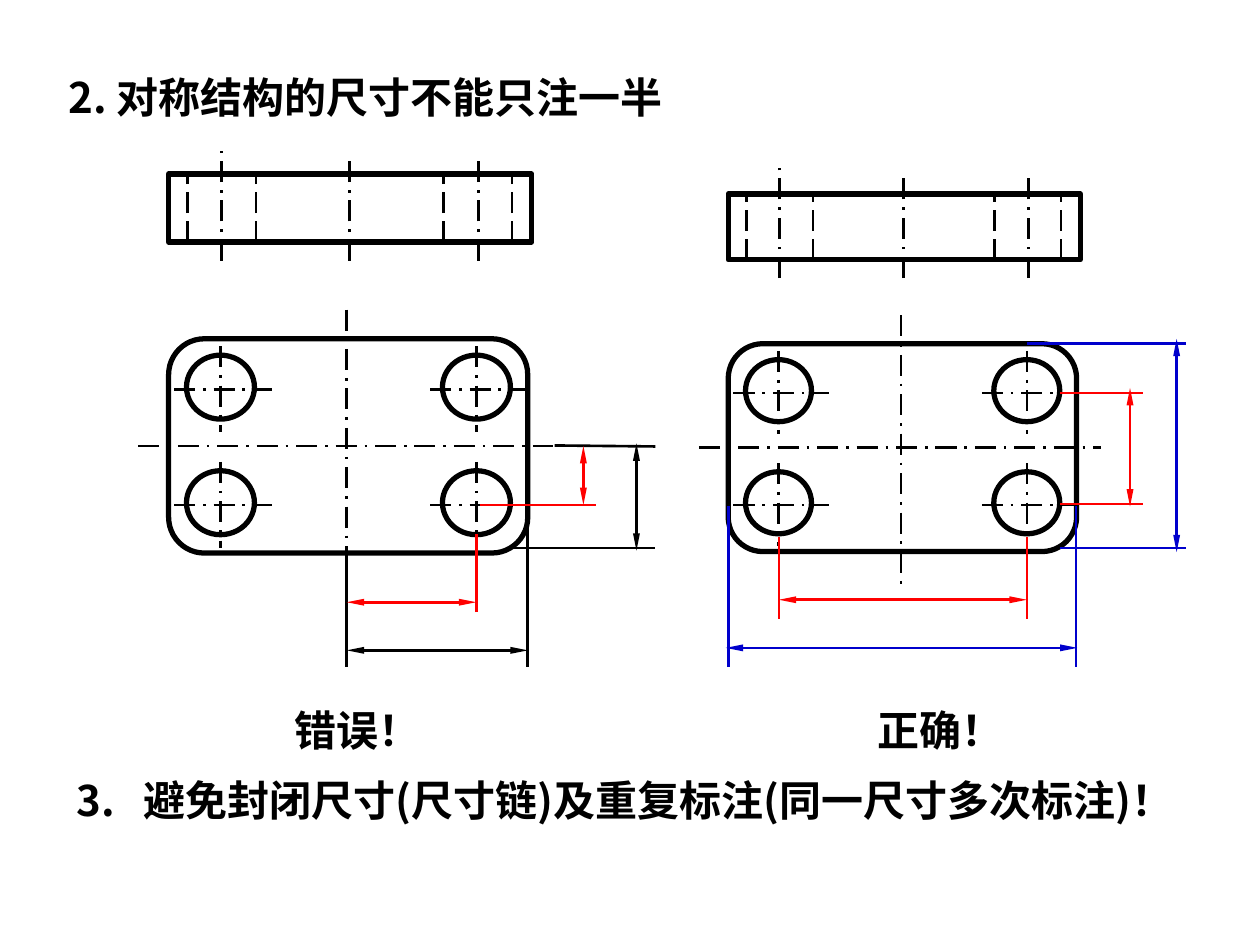
from itertools import product

from lxml.etree import SubElement
from pptx import Presentation
from pptx.dml.color import RGBColor
from pptx.enum.dml import MSO_LINE_DASH_STYLE as Dash
from pptx.enum.shapes import MSO_CONNECTOR_TYPE as Link, MSO_SHAPE as Geo
from pptx.enum.text import MSO_ANCHOR as Anchor, MSO_AUTO_SIZE as Fit, PP_ALIGN as Align
from pptx.oxml.ns import qn
from pptx.util import Cm, Pt

BLACK, RED, BLUE = "000000", "FF0000", "0000CC"


def color(value):
    return RGBColor.from_string(value)


class Drawing:
    font = {"name": "Noto Sans CJK SC", "size": Pt(24), "bold": True}

    def __init__(self, slide):
        self.slide = slide
        self.group = None

    def start_group(self):
        self.group = self.slide.shapes.add_group_shape()

    def text(self, wording, left, top, width, tab=None, **frame_format):
        box = self.slide.shapes.add_textbox(Cm(left), Cm(top), Cm(width), Cm(1.27))
        frame = box.text_frame
        frame_values = {"word_wrap": True, "auto_size": Fit.SHAPE_TO_FIT_TEXT}
        frame_values.update(frame_format)
        for name, value in frame_values.items():
            setattr(frame, name, value)
        paragraph = frame.paragraphs[0]
        paragraph.line_spacing = 0.85
        if not frame.word_wrap:
            paragraph.alignment = Align.CENTER
        if tab:
            stops = SubElement(paragraph._p.get_or_add_pPr(), qn("a:tabLst"))
            SubElement(stops, qn("a:tab"), pos=str(Cm(tab)), algn="l")
        run = paragraph.add_run()
        run.text = wording
        for name, value in self.font.items():
            setattr(run.font, name, value)
        run.font.color.rgb = color(BLACK)
        SubElement(run.font._element, qn("a:ea"), typeface=self.font["name"])

    def outline(self, geometry, left, top, width, height):
        shape = self.group.shapes.add_shape(
            geometry, Cm(left), Cm(top), Cm(width), Cm(height))
        shape.shadow.inherit = False
        shape.fill.background()
        shape.line.color.rgb = color(BLACK)
        shape.line.width = Pt(3)
        return shape

    def line(self, x1, y1, x2, y2, ink=BLACK, dash=None):
        link = self.group.shapes.add_connector(
            Link.STRAIGHT, Cm(x1), Cm(y1), Cm(x2), Cm(y2))
        link.line.color.rgb = color(ink)
        for name, value in {"width": Pt(1.5), "dash_style": dash}.items():
            setattr(link.line, name, value)
        SubElement(link._element.spPr, qn("a:effectLst"))
        return link

    def dimension(self, x1, y1, x2, y2, ink=BLACK):
        stroke = self.line(x1, y1, x2, y2, ink).line._get_or_add_ln()
        for end in ("a:headEnd", "a:tailEnd"):
            SubElement(stroke, qn(end), type="triangle", w="sm", len="lg")

    def side_view(self, left, top, scale):
        self.outline(Geo.RECTANGLE, left, top, 7.32 * scale, 1.37 * scale)
        for x in (0.38, 1.76, 5.54, 6.92):
            x = left + x * scale
            self.line(x, top + 1.37 * scale, x, top, dash=Dash.LONG_DASH)
        for x, rise in ((1.07, 0.61), (3.64, 0.36), (6.24, 0.41)):
            x = left + x * scale
            self.line(x, top + 1.75 * scale, x, top - rise * scale,
                      dash=Dash.LONG_DASH_DOT)

    def plate(self, left, top, scale):
        body = self.outline(Geo.ROUNDED_RECTANGLE, left, top, 7.24 * scale, 4.32 * scale)
        body.adjustments[0] = 0.167
        axes = [(-0.61, 2.16, 7.75, 2.16), (3.59, -0.59, 3.59, 5.02)]
        for x, y in product((0.36, 5.52), (0.33, 2.66)):
            self.outline(Geo.OVAL, left + x * scale, top + y * scale,
                         1.37 * scale, 1.29 * scale)
            axes += [(x - 0.25, y + 0.69, x + 1.73, y + 0.69),
                     (x + 0.69, y - 0.18, x + 0.69, y + 1.55)]
        for x1, y1, x2, y2 in axes:
            self.line(left + x1 * scale, top + y1 * scale,
                      left + x2 * scale, top + y2 * scale, dash=Dash.LONG_DASH_DOT)


def main():
    deck = Presentation()
    deck.slide_width, deck.slide_height = Cm(25.4), Cm(19.05)
    drawing = Drawing(deck.slides.add_slide(deck.slide_layouts[6]))

    drawing.text("2. 对称结构的尺寸不能只注一半", 1.14, 1.47, 16.56)

    drawing.start_group()
    drawing.plate(3.4, 6.83, 1)
    drawing.side_view(3.4, 3.51, 1)
    for extension in (
        (6.99, 13.44, 6.99, 11.1),
        (10.64, 10.49, 10.64, 13.44),
        (10.29, 11.05, 13.21, 11.05),
        (11.18, 8.98, 13.21, 9),
        (9.6, 12.34, 9.6, 10.77, RED),
        (9.68, 10.18, 12.01, 10.18, RED),
    ):
        drawing.line(*extension)
    for half_size in (
        (6.99, 12.14, 9.6, 12.14, RED),
        (11.76, 8.99, 11.76, 10.18, RED),
        (6.99, 13.11, 10.64, 13.11),
        (12.83, 8.94, 12.83, 11.1),
    ):
        drawing.dimension(*half_size)

    for verdict, left in (("错误！", 5.66), ("正确！", 17.42)):
        drawing.text(verdict, left, 14.15, 3.1,
                     word_wrap=False, vertical_anchor=Anchor.MIDDLE)

    drawing.start_group()
    drawing.side_view(14.68, 3.91, 0.97)
    drawing.plate(14.68, 6.93, 0.97)
    for x in (15.7, 20.7):
        drawing.line(x, 10.82, x, 12.47, RED)
    for y in (7.92, 10.16):
        drawing.line(21.37, y, 23.04, y, RED)
    for x in (14.68, 21.69):
        drawing.line(x, 10.21, x, 13.44, BLUE)
    for x, y in ((20.7, 6.93), (21.36, 11.05)):
        drawing.line(x, y, 23.9, y, BLUE)
    for full_size in (
        (15.7, 12.09, 20.7, 12.09, RED),
        (22.78, 7.82, 22.78, 10.21, RED),
        (14.63, 13.06, 21.72, 13.06, BLUE),
        (23.72, 6.83, 23.72, 11.13, BLUE),
    ):
        drawing.dimension(*full_size)

    drawing.text("3.\t避免封闭尺寸(尺寸链)及重复标注(同一尺寸多次标注)！",
                 1.3, 15.65, 24.1, tab=1.35)
    deck.save("out.pptx")


if __name__ == "__main__":
    main()
